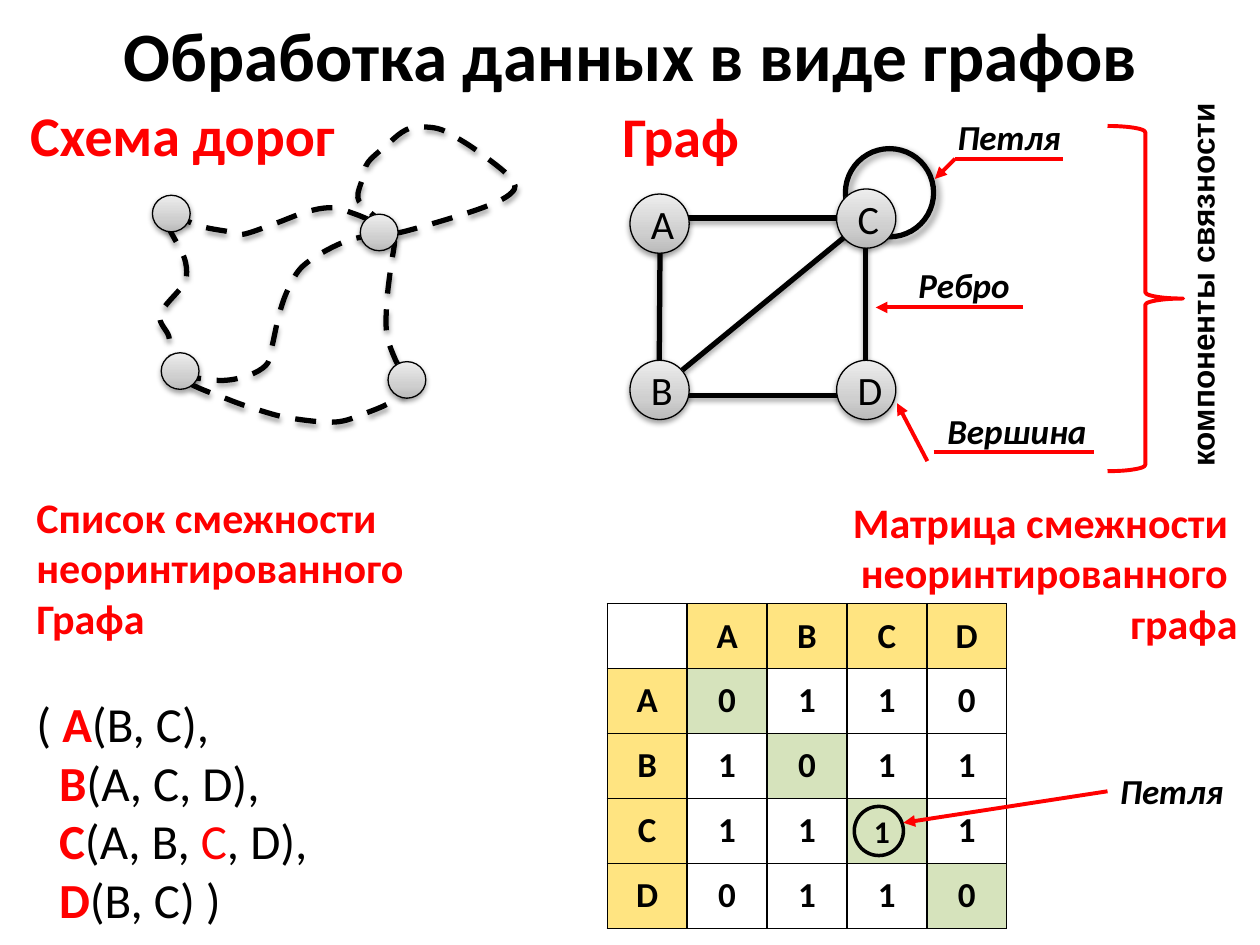
from copy import deepcopy

from lxml.etree import SubElement
from pptx import Presentation
from pptx.dml.color import RGBColor
from pptx.enum.dml import MSO_LINE
from pptx.enum.shapes import MSO_CONNECTOR, MSO_SHAPE
from pptx.enum.text import MSO_ANCHOR, PP_ALIGN
from pptx.oxml.ns import qn
from pptx.util import Inches, Pt

BLACK = RGBColor(0, 0, 0)
RED = RGBColor(0xFF, 0, 0)
WHITE = RGBColor(0xFF, 0xFF, 0xFF)
HEADER = RGBColor(0xFF, 0xE4, 0x81)
DIAGONAL = RGBColor(0xD6, 0xE3, 0xBC)
NODE_STOPS = [(0, RGBColor(0xBA, 0xBA, 0xBA)), (0.35, RGBColor(0xCF, 0xCF, 0xCF)),
              (1, RGBColor(0xED, 0xED, 0xED))]

# Opacity %, blur pt, distance pt, direction in degrees
EDGE_SHADOW = (35, 3.1, 1.8, 90)
NODE_SHADOW = (37, 3.1, 1.6, 90)
LOOP_SHADOW = (40, 4, 3, 45)

SHORT_ROAD = [(1.43, 2.98), (1.75, 3.02), (1.97, 2.98), (2.11, 2.9), (2.15, 2.79),
              (2.22, 2.48), (2.3, 2.27), (2.43, 2.09), (2.76, 1.91), (3.11, 1.85)]
RING_ROAD = [
    (1.37, 1.69), (1.57, 1.79), (1.82, 1.84), (1.93, 1.86), (2.17, 1.78), (2.44, 1.68),
    (2.64, 1.65), (2.82, 1.7), (3.05, 1.79), (2.92, 1.67), (2.84, 1.57), (2.88, 1.41),
    (2.92, 1.29), (3.06, 1.16), (3.19, 1.05), (3.3, 1.01), (3.47, 1.02), (3.6, 1.08),
    (3.79, 1.2), (4.05, 1.41), (4.06, 1.53), (3.8, 1.66), (3.2, 1.84), (3.08, 1.84),
    (3.13, 1.91), (3.1, 2.13), (3.07, 2.4), (3.07, 2.65), (3.14, 2.86), (3.24, 3.04),
    (3.12, 3.18), (2.9, 3.28), (2.66, 3.35), (2.31, 3.32), (2.07, 3.26), (1.81, 3.17),
    (1.47, 3.02), (1.36, 2.82), (1.34, 2.67), (1.27, 2.5), (1.44, 2.28), (1.48, 2.19),
    (1.46, 2.04), (1.34, 1.81), (1.3, 1.68)]
TOWNS = [(1.21, 1.55), (2.86, 1.7), (3.08, 2.87), (1.28, 2.8)]
EDGES = [((5.23, 3.14), (6.88, 3.14)), ((5.21, 1.73), (6.85, 1.73)),
         ((5.24, 1.77), (5.23, 3.17)), ((6.87, 1.77), (6.87, 3.17)),
         ((6.9, 1.72), (5.18, 3.13))]
VERTICES = {"A": (5, 1.54), "C": (6.64, 1.5), "D": (6.64, 2.86), "B": (5, 2.86)}
MATRIX = ["0110", "1011", "11 1", "0110"]
ADJACENCY = [
    [("( ", BLACK, False), ("A", RED, True), ("(B, C),", BLACK, False)],
    [("B", RED, True), ("(A, C, D),", BLACK, False)],
    [("C", RED, True), ("(A, B, ", BLACK, False), ("С", RED, False),
     (", D),", BLACK, False)],
    [("D", RED, True), ("(B, C) )", BLACK, False)]]


def style(font, size, color=BLACK, bold=True, italic=False, name="Calibri"):
    font.name, font.size, font.bold, font.italic = name, Pt(size), bold, italic
    font.color.rgb = color


def add_text(page, at, text, size, color=BLACK, align=PP_ALIGN.LEFT, **look):
    box = page.shapes.add_textbox(*map(Inches, at))
    frame = box.text_frame
    frame.word_wrap = True
    frame.text = text
    for para in frame.paragraphs:
        para.alignment = align
        for span in para.runs:
            style(span.font, size, color, **look)
    return box


def set_line(shape, width, color=BLACK):
    shape.line.color.rgb = color
    shape.line.width = Pt(width)


def set_shadow(shape, shadow=None):
    """Replace the theme's shadow by the given one, or by none."""
    effects = SubElement(shape._element.spPr, qn("a:effectLst"))
    if shadow:
        opacity, blur, distance, angle = shadow
        outer = SubElement(effects, qn("a:outerShdw"), blurRad=str(Pt(blur)),
                           dist=str(Pt(distance)), dir=str(angle * 60000), rotWithShape="0")
        black = SubElement(outer, qn("a:srgbClr"), val="000000")
        SubElement(black, qn("a:alpha"), val=str(opacity * 1000))


def add_line(page, start, end, width=2.25, color=RED, shadow=None, arrow=False):
    """Draw a line; an arrow has its tip at start."""
    line = page.shapes.add_connector(MSO_CONNECTOR.STRAIGHT, *map(Inches, start + end))
    set_line(line, width, color)
    if arrow:
        SubElement(line._element.spPr.find(qn("a:ln")), qn("a:headEnd"), type="triangle")
    set_shadow(line, shadow)


def add_outline(page, kind, at, width, color=BLACK, shadow=None):
    shape = page.shapes.add_shape(kind, *map(Inches, at))
    shape.fill.background()
    set_line(shape, width, color)
    set_shadow(shape, shadow)
    return shape


def set_shape_text(shape, text, size, bold):
    frame = shape.text_frame
    frame.text = text
    frame.vertical_anchor = MSO_ANCHOR.MIDDLE
    frame.paragraphs[0].alignment = PP_ALIGN.CENTER
    style(frame.paragraphs[0].runs[0].font, size, bold=bold)


def add_node(page, at, width, height, letter=""):
    node = add_outline(page, MSO_SHAPE.OVAL, (*at, width, height), 0.75, shadow=NODE_SHADOW)
    node.fill.gradient()
    node.fill.gradient_angle = 90
    first = node._element.spPr.find(qn("a:gradFill")).find(qn("a:gsLst"))[0]
    first.addnext(deepcopy(first))
    for stop, (position, color) in zip(node.fill.gradient_stops, NODE_STOPS):
        stop.position = position
        stop.color.rgb = color
    if letter:
        set_shape_text(node, letter, 23, False)


def curve_segments(shape):
    """Turn the straight segments of a freeform into smooth Bezier segments."""
    points = [(int(pt.get("x")), int(pt.get("y"))) for pt in shape._element.iter(qn("a:pt"))]
    padded = [points[0], *points, points[-1]]
    segments = list(shape._element.iter(qn("a:lnTo")))
    for segment, a, b, c, d in zip(segments, padded, padded[1:], padded[2:], padded[3:]):
        segment.tag = qn("a:cubicBezTo")
        leaving = [q + (r - p) // 6 for p, q, r in zip(a, b, c)]
        arriving = [q - (r - p) // 6 for p, q, r in zip(b, c, d)]
        end = segment[0]
        for x, y in (leaving, arriving):
            control = deepcopy(end)
            control.set("x", str(x))
            control.set("y", str(y))
            end.addprevious(control)


def add_road(page, anchors):
    points = [(Inches(x), Inches(y)) for x, y in anchors]
    builder = page.shapes.build_freeform(*points[0])
    builder.add_line_segments(points[1:], close=False)
    road = builder.convert_to_shape()
    curve_segments(road)
    road.fill.background()
    set_line(road, 3)
    road.line.dash_style = MSO_LINE.DASH
    set_shadow(road, EDGE_SHADOW)


def fill_cell(cell, text, color):
    properties = cell._tc.get_or_add_tcPr()
    for side in ("a:lnL", "a:lnR", "a:lnT", "a:lnB"):
        border = SubElement(properties, qn(side), w=str(Pt(1)))
        SubElement(SubElement(border, qn("a:solidFill")), qn("a:srgbClr"), val="000000")
    cell.fill.solid()
    cell.fill.fore_color.rgb = color
    cell.vertical_anchor = MSO_ANCHOR.MIDDLE
    cell.margin_left = cell.margin_right = Inches(0.07)
    cell.margin_top = cell.margin_bottom = 0
    cell.text = text.strip()
    para = cell.text_frame.paragraphs[0]
    para.alignment = PP_ALIGN.CENTER
    for span in para.runs:
        style(span.font, 20)


def add_matrix(page):
    rows = [" ABCD"] + [name + values for name, values in zip("ABCD", MATRIX)]
    size = len(rows)
    table = page.shapes.add_table(size, size, Inches(4.82), Inches(4.79),
                                  Inches(3.17), Inches(2.58)).table
    for i, row in enumerate(rows):
        for j, text in enumerate(row):
            if i == j:
                color = DIAGONAL if i else WHITE
            else:
                color = WHITE if i and j else HEADER
            fill_cell(table.cell(i, j), text, color)


def add_adjacency_list(page):
    box = add_text(page, (0.19, 3.85, 4.12, 3.48),
                   "Список смежности\nнеоринтированного\nГрафа", 24, RED)
    para = box.text_frame.add_paragraph()
    properties = para._p.get_or_add_pPr()
    properties.set("marL", str(Inches(0.18)))
    properties.set("indent", str(-Inches(0.18)))
    para.space_before = Pt(29)
    for number, spans in enumerate(ADJACENCY):
        if number:
            para.add_line_break()
        for text, color, bold in spans:
            span = para.add_run()
            span.text = text
            style(span.font, 28, color, bold)


def add_graph(page):
    add_outline(page, MSO_SHAPE.OVAL, (6.71, 1.18, 0.7, 0.7), 3, shadow=LOOP_SHADOW)
    for start, end in EDGES:
        add_line(page, start, end, 3, BLACK, EDGE_SHADOW)
    for letter, at in VERTICES.items():
        add_node(page, at, 0.47, 0.47, letter)


def add_callouts(page):
    for text, at in [("Петля", (7.5, 0.87)), ("Ребро", (7.19, 2.04)),
                     ("Вершина", (7.42, 3.2)), ("Петля", (8.79, 6.06))]:
        add_text(page, (*at, 1.48 if text == "Вершина" else 1.09, 0.44), text, 20, italic=True)
    for tip, end in [((7.42, 1.42), (7.58, 1.26)), ((6.95, 2.44), (8.12, 2.44)),
                     ((7.12, 3.2), (7.36, 3.66)), ((7.17, 6.53), (8.79, 6.28))]:
        add_line(page, tip, end, arrow=True)
    for start, end in [((7.58, 1.26), (8.44, 1.26)), ((7.41, 3.59), (8.68, 3.59))]:
        add_line(page, start, end)


def main():
    deck = Presentation()
    deck.slide_width, deck.slide_height = Inches(10), Inches(7.5)
    page = deck.slides.add_slide(deck.slide_layouts[6])
    title = add_text(page, (0.2, 0.04, 9.61, 0.78), "Обработка данных в виде графов", 39.6,
                     align=PP_ALIGN.CENTER)
    title.text_frame.vertical_anchor = MSO_ANCHOR.MIDDLE
    add_matrix(page)
    for anchors in (SHORT_ROAD, RING_ROAD):
        add_road(page, anchors)
    for at in TOWNS:
        add_node(page, at, 0.3, 0.29)
    add_graph(page)
    add_text(page, (4.84, 0.76, 1.25, 0.64), "Граф", 32, RED)
    add_text(page, (0.14, 0.75, 2.73, 0.64), "Схема дорог", 32, RED)
    add_text(page, (5.8, 3.89, 4.12, 1.02), "Матрица смежности \nнеоринтированного \nграфа",
             24, RED, PP_ALIGN.RIGHT)
    loop_mark = add_outline(page, MSO_SHAPE.OVAL, (6.78, 6.4, 0.39, 0.39), 2)
    set_shape_text(loop_mark, "1", 18, True)
    add_callouts(page)
    add_adjacency_list(page)
    brace = add_outline(page, MSO_SHAPE.RIGHT_BRACE, (8.79, 1, 0.6, 2.74), 2.25, RED)
    brace.adjustments[0] = 0.083
    components = add_text(page, (7.98, 2.06, 3.12, 0.4), "компоненты связности", 18,
                          align=PP_ALIGN.CENTER, name="Arial")
    components.rotation = 270
    deck.save("out.pptx")


if __name__ == "__main__":
    main()
